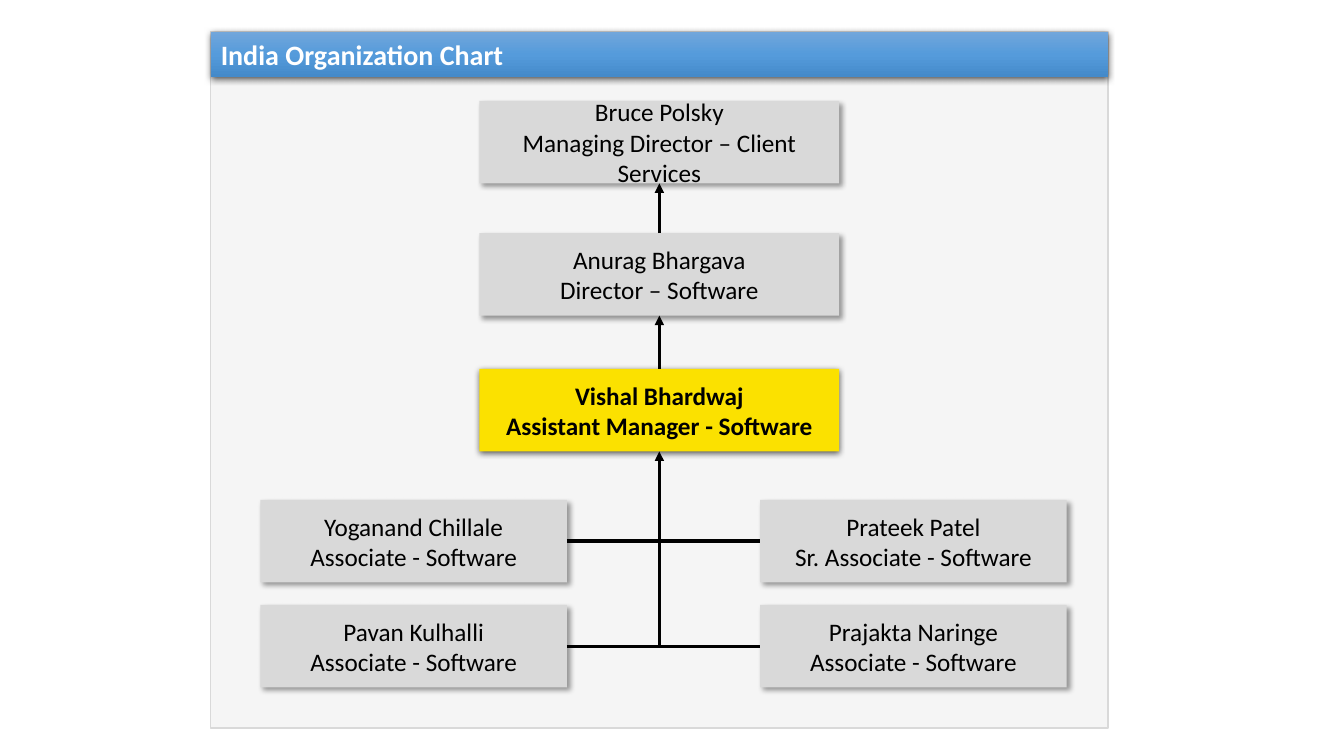
from dataclasses import dataclass

from lxml import etree
from pptx import Presentation
from pptx.dml.color import RGBColor
from pptx.enum import shapes, text
from pptx.oxml import ns
from pptx.util import Pt


@dataclass(frozen=True)
class Theme:
    font: str = "Calibri"
    title_size: float = 20
    body_size: float = 18
    line_width: float = 2.25
    panel: str = "F5F5F5"
    box: str = "D9D9D9"
    highlight: str = "FBE100"
    ink: str = "000000"
    title_ink: str = "FFFFFF"
    title_gradient: tuple = ((0, "71A6DB"), (50, "559BDB"), (100, "448ACA"))
    # blur, distance, angle in degrees, opacity in percent
    soft_shadow: tuple = (4, 3, 45, 40)
    strong_shadow: tuple = (4.5, 1.5, 90, 63)


THEME = Theme()
PANEL = (150.5, 23, 641, 497)
TITLE_HEIGHT = 32
BOX_HEIGHT = 59
MANAGER_WIDTH = 257
MANAGER_TOPS = (49, 143.5, 240.5)
MEMBER_WIDTH = 219
MEMBER_LEFTS = (35.5, 392.5)
MEMBER_TOPS = (334, 409)

MANAGERS = (
    ("Bruce Polsky", "Managing Director – Client Services"),
    ("Anurag Bhargava", "Director – Software"),
    ("Vishal Bhardwaj", "Assistant Manager - Software"),
)
TEAM = (
    (("Yoganand Chillale", "Associate - Software"),
     ("Prateek Patel", "Sr. Associate - Software")),
    (("Pavan Kulhalli", "Associate - Software"),
     ("Prajakta Naringe", "Associate - Software")),
)


def color(code):
    return RGBColor.from_string(code)


def add_element(parent, tag, **attributes):
    values = {name: str(value) for name, value in attributes.items()}
    return etree.SubElement(parent, ns.qn(tag), values)


def add_shadow(shape, shadow):
    blur, distance, angle, opacity = shadow
    shape.shadow.inherit = False
    effects = shape.element.spPr.find(ns.qn("a:effectLst"))
    outer = add_element(effects, "a:outerShdw", blurRad=Pt(blur), dist=Pt(distance),
                        dir=angle * 60000, algn="ctr", rotWithShape=0)
    ink = add_element(outer, "a:srgbClr", val=THEME.ink)
    add_element(ink, "a:alpha", val=opacity * 1000)


def add_rectangle(slide, box, fill):
    shape = slide.shapes.add_shape(shapes.MSO_SHAPE.RECTANGLE, *map(Pt, box))
    shape.shadow.inherit = False
    shape.fill.solid()
    shape.fill.fore_color.rgb = color(fill)
    shape.line.fill.background()
    return shape


def format_paragraph(paragraph, size, ink, bold, alignment):
    paragraph.alignment = alignment
    paragraph.font.name = THEME.font
    paragraph.font.size = Pt(size)
    paragraph.font.bold = bold
    paragraph.font.color.rgb = color(ink)


def add_panel(slide, box):
    panel = add_rectangle(slide, box, THEME.panel)
    panel.line.color.rgb = color(THEME.box)
    panel.line.width = Pt(1)
    return panel


def format_title(slide, box, wording):
    title = slide.shapes.title
    title.left, title.top, title.width, title.height = map(Pt, box)
    gradient = add_element(title.element.spPr, "a:gradFill", rotWithShape=1)
    stops = add_element(gradient, "a:gsLst")
    for position, code in THEME.title_gradient:
        stop = add_element(stops, "a:gs", pos=position * 1000)
        add_element(stop, "a:srgbClr", val=code)
    add_element(gradient, "a:lin", ang=90 * 60000, scaled=0)
    add_shadow(title, THEME.strong_shadow)
    frame = title.text_frame
    frame.text = wording
    frame.auto_size = text.MSO_AUTO_SIZE.NONE
    frame.vertical_anchor = text.MSO_ANCHOR.MIDDLE
    format_paragraph(frame.paragraphs[0], THEME.title_size, THEME.title_ink,
                     True, text.PP_ALIGN.LEFT)
    return title


def add_person(slide, box, person, highlighted=False):
    shape = add_rectangle(slide, box, THEME.highlight if highlighted else THEME.box)
    add_shadow(shape, THEME.strong_shadow if highlighted else THEME.soft_shadow)
    frame = shape.text_frame
    frame.word_wrap = True
    frame.vertical_anchor = text.MSO_ANCHOR.MIDDLE
    frame.text = "\n".join(person)
    for paragraph in frame.paragraphs:
        format_paragraph(paragraph, THEME.body_size, THEME.ink, highlighted,
                         text.PP_ALIGN.CENTER)
    return shape


def add_line(slide, start=(0, 0), arrow=False):
    point = tuple(map(Pt, start))
    line = slide.shapes.add_connector(shapes.MSO_CONNECTOR.STRAIGHT, *point, *point)
    line.line.color.rgb = color(THEME.ink)
    line.line.width = Pt(THEME.line_width)
    properties = line.element.spPr
    if arrow:
        add_element(properties.find(ns.qn("a:ln")), "a:tailEnd", type="triangle")
    add_element(properties, "a:effectLst")
    return line


def add_managers(slide, box):
    """Stack the managers, each reporting to the one above; return the lowest."""
    left, top, width, _ = box
    manager_left = left + (width - MANAGER_WIDTH) / 2
    above = None
    for offset, person in zip(MANAGER_TOPS, MANAGERS):
        place = (manager_left, top + offset, MANAGER_WIDTH, BOX_HEIGHT)
        manager = add_person(slide, place, person, person == MANAGERS[-1])
        if above is not None:
            arrow = add_line(slide, arrow=True)
            arrow.begin_connect(manager, 0)
            arrow.end_connect(above, 2)
        above = manager
    return above


def add_team(slide, box, manager):
    """Place the team in two columns, joined to the manager by a central trunk."""
    left, top, width, _ = box
    for offset, people in zip(MEMBER_TOPS, TEAM):
        pair = [add_person(slide, (left + x, top + offset, MEMBER_WIDTH, BOX_HEIGHT), person)
                for x, person in zip(MEMBER_LEFTS, people)]
        rung = add_line(slide)
        rung.begin_connect(pair[0], 3)
        rung.end_connect(pair[1], 1)
    foot = (left + width / 2, top + MEMBER_TOPS[-1] + BOX_HEIGHT / 2)
    trunk = add_line(slide, foot, arrow=True)
    trunk.end_connect(manager, 2)


def add_organization_slide(presentation, box):
    slide = presentation.slides.add_slide(presentation.slide_layouts[5])
    left, top, width, _ = box
    panel = add_panel(slide, box)
    title = format_title(slide, (left, top, width, TITLE_HEIGHT), "India Organization Chart")
    panel.element.addnext(title.element)
    manager = add_managers(slide, box)
    add_team(slide, box, manager)


def main():
    presentation = Presentation()
    presentation.slide_width = Pt(960)
    presentation.slide_height = Pt(540)
    add_organization_slide(presentation, PANEL)
    presentation.save("out.pptx")


if __name__ == "__main__":
    main()
